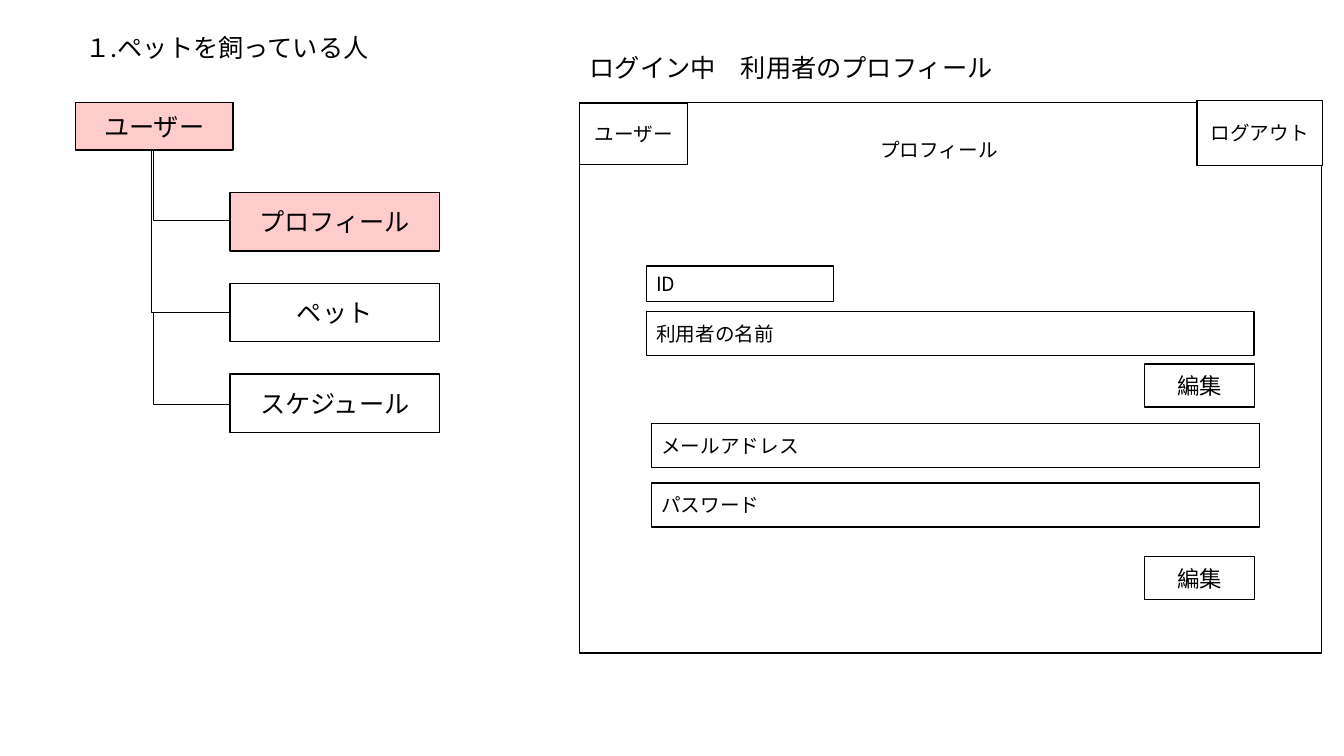
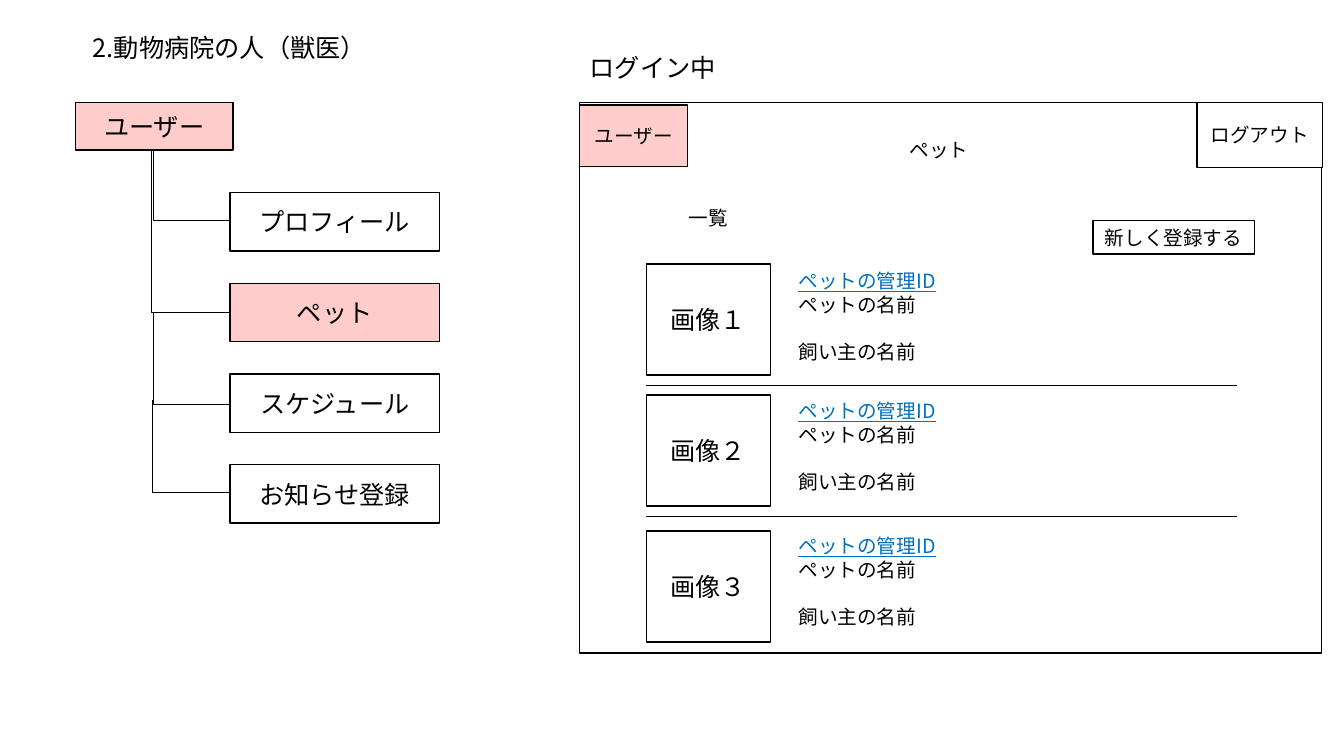
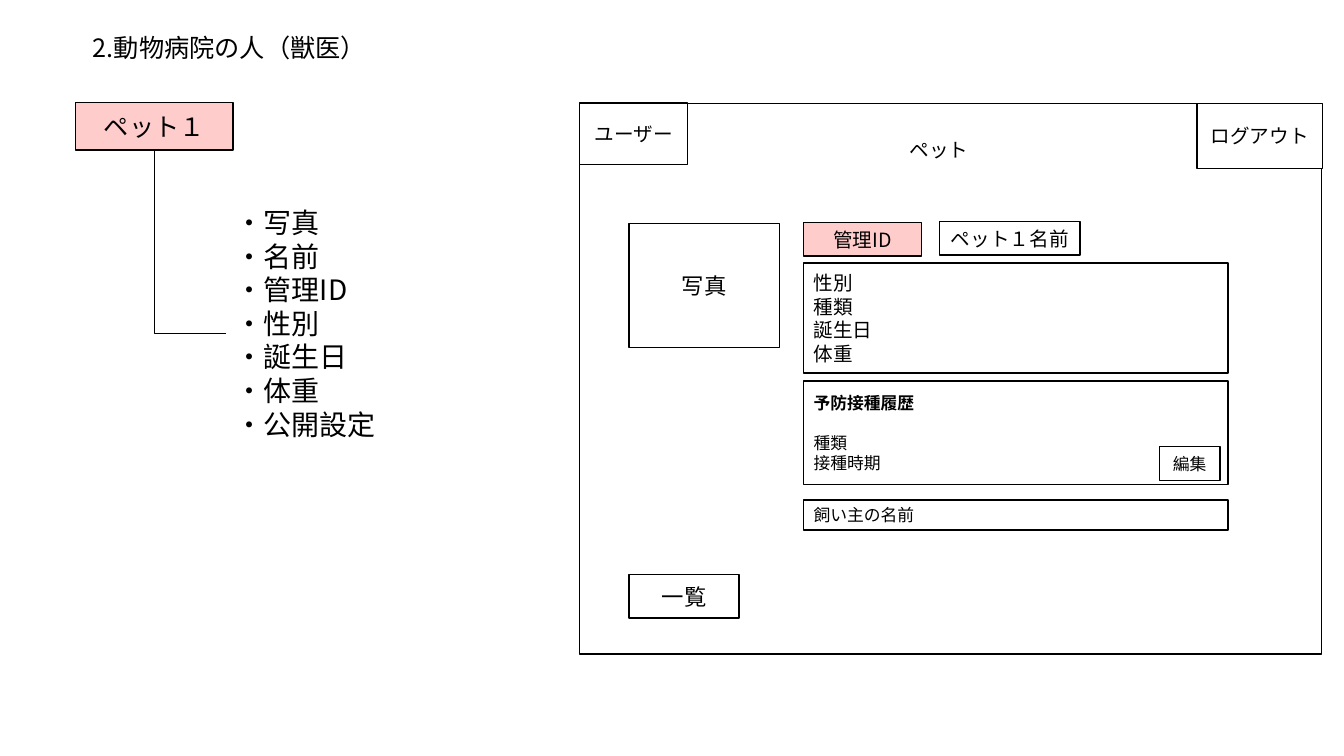
from pptx import Presentation
from pptx.dml.color import RGBColor
from pptx.enum.shapes import MSO_CONNECTOR, MSO_SHAPE
from pptx.enum.text import MSO_ANCHOR, MSO_AUTO_SIZE, PP_ALIGN
from pptx.oxml.ns import qn
from pptx.util import Inches, Pt
from lxml import etree

RECT = MSO_SHAPE.RECTANGLE
STRAIGHT, ELBOW = MSO_CONNECTOR.STRAIGHT, MSO_CONNECTOR.ELBOW
LEFT, CENTER = PP_ALIGN.LEFT, PP_ALIGN.CENTER
TOP, MIDDLE = MSO_ANCHOR.TOP, MSO_ANCHOR.MIDDLE
FIT = MSO_AUTO_SIZE.SHAPE_TO_FIT_TEXT

COLORS = {"ink": "000000", "paper": "FFFFFF", "active": "FFCCCC", "link": "0070C0"}
FONT = "Noto Sans CJK JP"

OWNER = ("１.ペットを飼っている人", (0.75, 0.27, 3.04, 0.4), LEFT)
VET = ("2.動物病院の人（獣医）", (0.81, 0.27, 2.93, 0.4), CENTER)
MENU = ["プロフィール", "ペット", "スケジュール", "お知らせ登録"]
MENU_X, MENU_Y, MENU_W, MENU_H, MENU_STEP = 2.28, 1.91, 2.08, 0.58, 0.9
ROOT = (0.75, 1.02, 1.56, 0.47)
ROOT_BOTTOM = ROOT[1] + ROOT[3]
BRANCHES = [(1.52, ROOT_BOTTOM, 2.19), (1.5, ROOT_BOTTOM, 3.1),
            (1.52, 3.1, 4.01), (1.51, 3.97, 4.88)]
FRAME_X, FRAME_W, FRAME_H = 5.75, 7.36, 5.46

FIELDS = [
    ("ID", (6.41, 2.64, 1.86, 0.35)),
    ("利用者の名前", (6.41, 3.09, 6.03, 0.44)),
    ("メールアドレス", (6.46, 4.2, 6.03, 0.44)),
    ("パスワード", (6.46, 4.79, 6.03, 0.44)),
]
EDIT_TOPS = [3.61, 5.52]
PETS = [("画像１", 2.62, 2.62), ("画像２", 3.92, 3.91), ("画像３", 5.27, 5.25)]
PET_LINES = ["ペットの管理ID", "ペットの名前", "飼い主の名前"]
DIVIDERS = [3.82, 5.12]
PET_ITEMS = ["・写真", "・名前", "・管理ID", "・性別", "・誕生日", "・体重", "・公開設定"]
TRAITS = ["性別", "種類", "誕生日", "体重"]
VACCINES = ["予防接種履歴", "種類", "接種時期"]
CARD_X, CARD_W = 7.97, 4.21


def rgb(name):
    return RGBColor.from_string(COLORS[name])


def write(shape, lines, size, align=CENTER, anchor=MIDDLE, gap_at=None, link=False, bold=False):
    tf = shape.text_frame
    tf.word_wrap = True
    tf.vertical_anchor = anchor
    for i, line in enumerate(lines):
        p = tf.paragraphs[0] if i == 0 else tf.add_paragraph()
        p.alignment = align
        if i == gap_at:
            p.space_before = Pt(size * 1.2)
        r = p.add_run()
        r.text = line
        r.font.size = Pt(size)
        r.font.name = FONT
        r.font.bold = bold and i == 0
        r.font.underline = link and i == 0
        r.font.color.rgb = rgb("link" if link and i == 0 else "ink")
        etree.SubElement(r.font._element, qn("a:ea"), typeface=FONT)
    return tf


def box(s, at, lines=(), size=14, fill="paper", **style):
    sp = s.shapes.add_shape(RECT, *map(Inches, at))
    sp.shadow.inherit = False
    if fill:
        sp.fill.solid()
        sp.fill.fore_color.rgb = rgb(fill)
    else:
        sp.fill.background()
    sp.line.color.rgb = rgb("ink")
    sp.line.width = Pt(1)
    write(sp, lines, size, **style)


def label(s, at, lines, size=14, fit=False, wrap=True, **style):
    tf = write(s.shapes.add_textbox(*map(Inches, at)), lines, size, **style)
    tf.word_wrap = wrap
    if fit:
        tf.auto_size = FIT


def line(s, kind, *ends):
    c = s.shapes.add_connector(kind, *map(Inches, ends))
    c.line.color.rgb = rgb("ink")
    c.line.width = Pt(0.5)
    sppr = c._element.spPr
    etree.SubElement(sppr, qn("a:effectLst"))
    if kind == ELBOW:
        guides = sppr.find(qn("a:prstGeom")).get_or_add_avLst()
        etree.SubElement(guides, qn("a:gd"), name="adj1", fmla="val 0")


def heading(s, role, root):
    text, at, align = role
    label(s, at, [text], 18, fit=True, wrap=False, align=align, anchor=TOP)
    box(s, ROOT, [root], 18, "active")


def menu(s, count, active):
    for i, (item, branch) in enumerate(zip(MENU[:count], BRANCHES)):
        x, top, bottom = branch
        at = (MENU_X, MENU_Y + i * MENU_STEP, MENU_W, MENU_H)
        box(s, at, [item], 18, "active" if item == active else None)
        line(s, ELBOW, x, top, MENU_X, bottom)


def screen(s, title, frame_y=1.02, user_y=1.02, logout_y=1.02, user_fill="paper"):
    box(s, (FRAME_X, frame_y, FRAME_W, FRAME_H))
    box(s, (11.87, logout_y, 1.25, 0.64), ["ログアウト"])
    box(s, (FRAME_X, user_y, 1.07, 0.61), ["ユーザー"], fill=user_fill)
    label(s, (6.3, 1.27, 6.03, 0.42), [title])


def status(s, text, width):
    label(s, (FRAME_X, 0.47, width, 0.4), [text], 18, fit=True, align=LEFT, anchor=TOP)


def profile_slide(s):
    heading(s, OWNER, "ユーザー")
    menu(s, 3, "プロフィール")
    status(s, "ログイン中　利用者のプロフィール", 4.47)
    screen(s, "プロフィール", logout_y=1)
    for text, at in FIELDS:
        box(s, at, [text], fill=None, align=LEFT)
    for y in EDIT_TOPS:
        box(s, (11.35, y, 1.09, 0.43), ["編集"], 16)


def pet_list_slide(s):
    heading(s, VET, "ユーザー")
    menu(s, 4, "ペット")
    status(s, "ログイン中", 2)
    screen(s, "ペット", user_y=1.04, user_fill="active")
    label(s, (6.41, 1.95, 1.23, 0.42), ["一覧"])
    box(s, (10.84, 2.19, 1.6, 0.33), ["新しく登録する"])
    for image, image_y, text_y in PETS:
        box(s, (6.41, image_y, 1.23, 1.1), [image], 18)
        label(s, (7.82, text_y, 3.82, 1.04), PET_LINES, fit=True, align=LEFT,
              anchor=TOP, gap_at=2, link=True)
    for y in DIVIDERS:
        line(s, STRAIGHT, 6.41, y, 12.27, y)


def pet_detail_slide(s):
    heading(s, VET, "ペット１")
    line(s, ELBOW, 1.53, ROOT_BOTTOM, 2.24, 3.31)
    label(s, (2.24, 1.99, 2.91, 3.8), PET_ITEMS, 20, fit=True, align=LEFT, anchor=TOP)
    screen(s, "ペット", frame_y=1.03, logout_y=1.03)
    box(s, (6.24, 2.22, 1.49, 1.23), ["写真"], 16)
    box(s, (CARD_X, 2.21, 1.17, 0.33), ["管理ID"], fill="active")
    box(s, (9.32, 2.2, 1.39, 0.33), ["ペット１名前"], fill=None)
    box(s, (CARD_X, 2.61, CARD_W, 1.09), TRAITS, align=LEFT)
    box(s, (CARD_X, 3.78, CARD_W, 1.03), VACCINES, 12, align=LEFT, gap_at=1, bold=True)
    box(s, (11.5, 4.43, 0.6, 0.34), ["編集"], 12)
    box(s, (CARD_X, 4.96, CARD_W, 0.3), ["飼い主の名前"], 12, align=LEFT)
    box(s, (6.24, 5.7, 1.09, 0.43), ["一覧"], 16)


def main():
    prs = Presentation()
    prs.slide_width, prs.slide_height = Inches(13.33), Inches(7.5)
    for build in (profile_slide, pet_list_slide, pet_detail_slide):
        build(prs.slides.add_slide(prs.slide_layouts[6]))
    prs.save("out.pptx")


if __name__ == "__main__":
    main()
